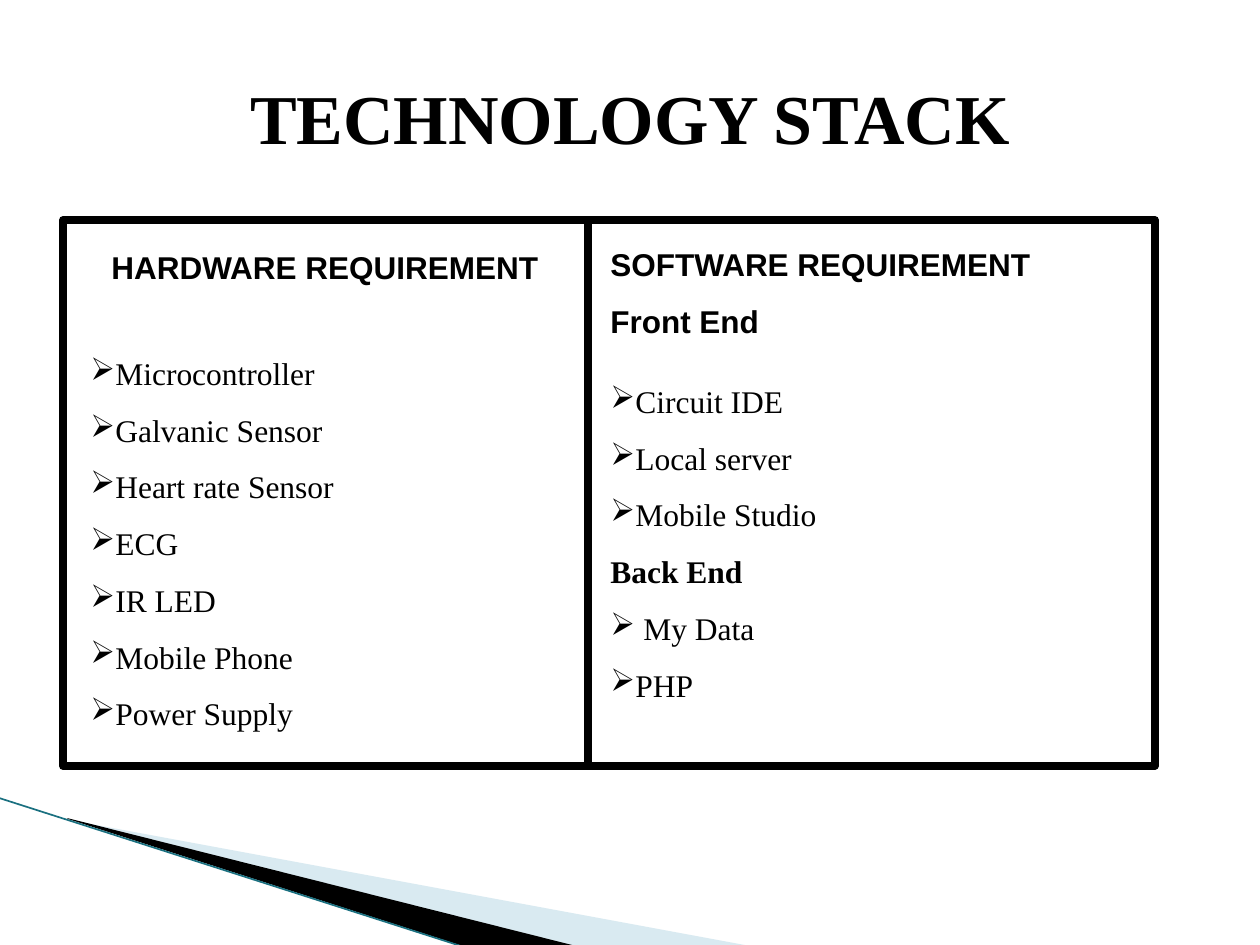
from pptx import Presentation, util as u
from pptx.dml.color import RGBColor
from pptx.enum import shapes, text
from pptx.oxml.ns import qn
from lxml import etree

PX = 914400 / 126
COLORS = {"ink": "000000", "pale": "A0CBDC", "edge": "1A7080"}
SERIF, SANS = "Times New Roman", "Arial"
BULLET = "➢"

prs = Presentation()
prs.slide_width, prs.slide_height = u.Inches(10), u.Inches(7.5)
s = prs.slides.add_slide(prs.slide_layouts[6])


def emu(*lengths):
    return [u.Emu(round(v * PX)) for v in lengths]


def add_text(box, lines, font, size=18, bold=False, align=None, spacing=None, indent=0):
    """Add a text box; lines starting with the bullet sign become list items."""
    tf = s.shapes.add_textbox(*emu(*box)).text_frame
    tf.word_wrap = True
    for i, line in enumerate(lines):
        p = tf.paragraphs[0] if i == 0 else tf.add_paragraph()
        p.text = line.removeprefix(BULLET)
        p.alignment, p.line_spacing = align, spacing
        pPr = p._p.get_or_add_pPr()
        pPr.set("marL", str(emu(indent)[0]))
        pPr.set("indent", "0")
        if line.startswith(BULLET):
            etree.SubElement(pPr, qn("a:buChar")).set("char", BULLET)
        f = p.runs[0].font
        f.name, f.size = font, u.Pt(size)
        f.bold = bold or line == "Back End"
        f.color.rgb = RGBColor.from_string(COLORS["ink"])
    return tf


# Corner decoration
wedges = [
    ("pale", 40, [(69, 820), (750, 946), (575, 946), (69, 819)]),
    ("ink", 100, [(67, 818), (576, 946), (469, 948), (68, 819)]),
]
for color, opacity, pts in wedges:
    fb = s.shapes.build_freeform(*pts[0], scale=PX)
    fb.add_line_segments(pts[1:], close=True)
    sp = fb.convert_to_shape()
    sp.shadow.inherit = False
    sp.fill.solid()
    sp.fill.fore_color.rgb = RGBColor.from_string(COLORS[color])
    sp.line.fill.background()
    if opacity < 100:
        clr = sp._element.spPr.find(".//" + qn("a:srgbClr"))
        etree.SubElement(clr, qn("a:alpha")).set("val", str(opacity * 1000))

edge = s.shapes.add_connector(shapes.MSO_CONNECTOR.STRAIGHT, *emu(-1, 798, 467, 948))
edge.line.color.rgb = RGBColor.from_string(COLORS["edge"])
edge.line.width = u.Pt(0.95)
etree.SubElement(edge._element.spPr, qn("a:effectLst"))

# Title
tf = add_text((63, 38, 1134, 158), ["TECHNOLOGY STACK"], SERIF, 40, True, text.PP_ALIGN.CENTER)
tf.vertical_anchor = text.MSO_ANCHOR.MIDDLE

# Two framed columns
for left, width in [(63, 525), (588, 567)]:
    sp = s.shapes.add_shape(shapes.MSO_SHAPE.RECTANGLE, *emu(left, 220, width, 546))
    sp.shadow.inherit = False
    sp.fill.background()
    sp.line.color.rgb = RGBColor.from_string(COLORS["ink"])
    sp.line.width = u.Pt(4.33)
    etree.SubElement(sp.line._ln, qn("a:round"))

hardware = ["Microcontroller", "Galvanic Sensor", "Heart rate Sensor", "ECG",
            "IR LED", "Mobile Phone", "Power Supply"]
software = ["➢Circuit IDE", "➢Local server", "➢Mobile Studio", "Back End", "➢ My Data", "➢PHP"]

add_text((73, 242, 494, 50), ["HARDWARE REQUIREMENT"], SANS, bold=True, indent=26)
add_text((598, 220, 546, 127), ["SOFTWARE REQUIREMENT", "Front End"], SANS, bold=True,
         align=text.PP_ALIGN.JUSTIFY, spacing=1.5)
add_text((78, 329, 504, 408), [BULLET + item for item in hardware], SERIF, spacing=1.5)
add_text((598, 357, 536, 352), software, SERIF, align=text.PP_ALIGN.JUSTIFY, spacing=1.5)

prs.save("out.pptx")
